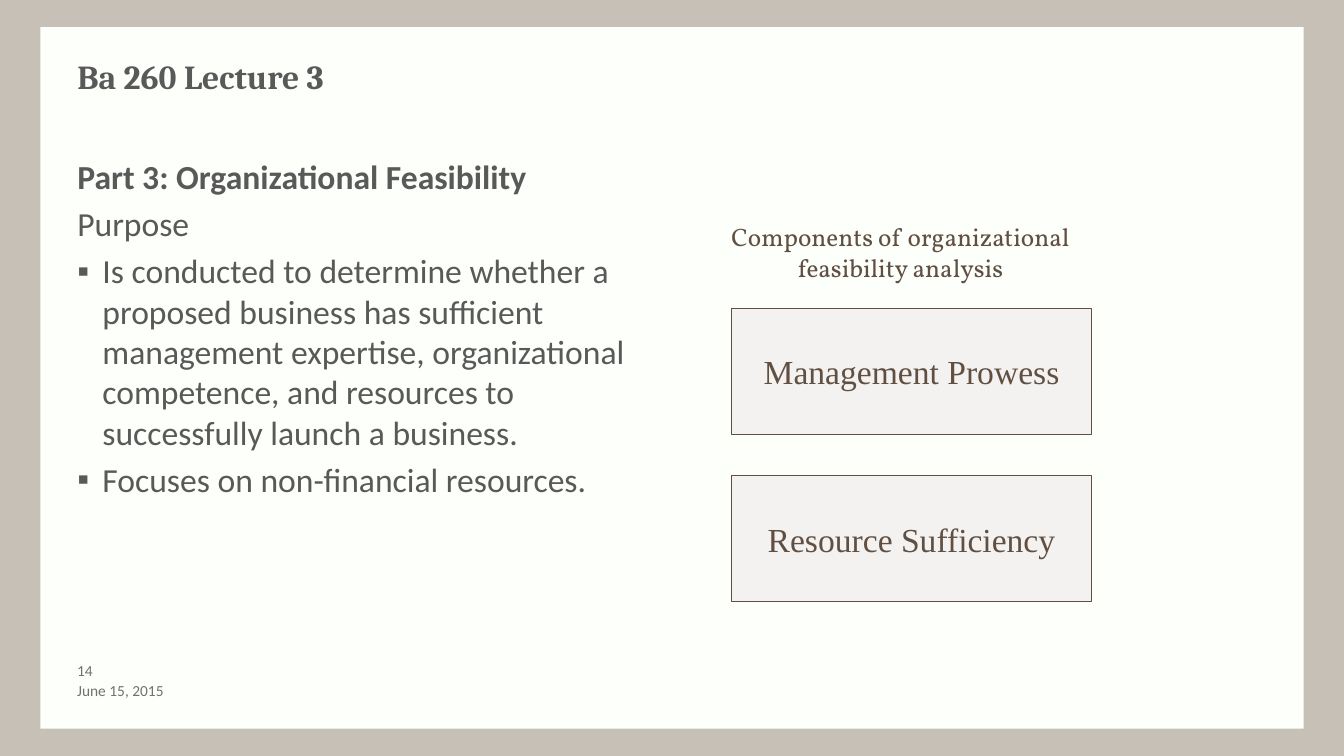
import pptx
import pptx.util
import pptx.dml.color
import pptx.enum.shapes
import pptx.enum.text
import pptx.oxml.ns
import lxml.etree

COLORS = {"frame": "C6C0B7", "paper": "FDFFFB", "text": "595959",
          "footer": "717171", "brown": "615042", "card": "F4F2F1"}
SLIDE_WIDTH, SLIDE_HEIGHT = pptx.util.Inches(13.333), pptx.util.Inches(7.5)
COLUMN, ROW = SLIDE_WIDTH / 20, SLIDE_HEIGHT / 30
ALIGN = pptx.enum.text.PP_ALIGN
ANCHOR = pptx.enum.text.MSO_ANCHOR


def grid(column, row, columns, rows):
    """Turn a box in grid units into left, top, width and height."""
    return (round(column * COLUMN), round(row * ROW),
            round(columns * COLUMN), round(rows * ROW))


def color(name):
    return pptx.dml.color.RGBColor.from_string(COLORS[name])


def place(placeholder, box):
    placeholder.left, placeholder.top, placeholder.width, placeholder.height = grid(*box)


def write(frame, lines, font, size, ink, align=ALIGN.LEFT, anchor=ANCHOR.TOP,
          bold=False, wrap=True):
    frame.text = "\n".join(lines)
    frame.word_wrap = wrap
    frame.auto_size = pptx.enum.text.MSO_AUTO_SIZE.NONE
    frame.vertical_anchor = anchor
    for paragraph in frame.paragraphs:
        paragraph.alignment = align
        for run in paragraph.runs:
            run.font.name = font
            run.font.size = pptx.util.Pt(size)
            run.font.bold = bold
            run.font.color.rgb = color(ink)


def add_rectangle(slide, box, fill):
    rectangle = slide.shapes.add_shape(
        pptx.enum.shapes.MSO_SHAPE.RECTANGLE, *grid(*box))
    rectangle.shadow.inherit = False
    rectangle.fill.solid()
    rectangle.fill.fore_color.rgb = color(fill)
    rectangle.line.fill.background()
    return rectangle


def set_bullet(paragraph, mark):
    properties = paragraph._p.get_or_add_pPr()
    indent = pptx.util.Inches(0.25) if mark else 0
    properties.set("marL", str(indent))
    properties.set("indent", str(-indent))
    tag = pptx.oxml.ns.qn("a:buChar" if mark else "a:buNone")
    bullet = lxml.etree.SubElement(properties, tag)
    if mark:
        bullet.set("char", mark)


def paint_backdrop(slide, box):
    slide.background.fill.solid()
    slide.background.fill.fore_color.rgb = color("frame")
    add_rectangle(slide, box, "paper")


def fill_title(slide, box):
    title = slide.shapes.title
    place(title, box)
    write(title.text_frame, ["Ba 260 Lecture 3"], "Cambria", 24, "text", bold=True)


def fill_purpose(slide, box):
    purpose = slide.placeholders[1]
    place(purpose, box)
    points = [
        ("Part 3: Organizational Feasibility", None),
        ("Purpose", None),
        ("Is conducted to determine whether a proposed business has sufficient "
         "management expertise, organizational competence, and resources to "
         "successfully launch a business.", "▪"),
        ("Focuses on non-financial resources.", "▪"),
    ]
    write(purpose.text_frame, [line for line, _ in points], "Calibri", 24, "text")
    for index, (paragraph, (_, mark)) in enumerate(
            zip(purpose.text_frame.paragraphs, points)):
        paragraph.space_before = pptx.util.Pt(4.8 if index else 0)
        set_bullet(paragraph, mark)
    purpose.text_frame.paragraphs[0].runs[0].font.bold = True


def add_components(slide, box):
    left, top, width, _ = box
    caption = slide.shapes.add_textbox(*grid(left, top, width, 2.84))
    write(caption.text_frame, ["Components of organizational", "feasibility analysis"],
          "Vollkorn", 18, "brown", ALIGN.CENTER)
    for index, component in enumerate(["Management Prowess", "Resource Sufficiency"]):
        card = add_rectangle(
            slide, (left + 2.48, top + 3.64 + index * 6.64, 5.37, 5), "card")
        card.line.color.rgb = color("brown")
        card.line.width = pptx.util.Pt(0.75)
        write(card.text_frame, [component], "Times New Roman", 24, "brown",
              ALIGN.CENTER, ANCHOR.MIDDLE, wrap=False)


def add_footer(slide, box):
    left, top, width, height = box
    for index, entry in enumerate(["14", "June 15, 2015"]):
        footer = slide.shapes.add_textbox(
            *grid(left, top + index * height / 2, width, height / 2))
        footer.text_frame.margin_top = footer.text_frame.margin_bottom = 0
        write(footer.text_frame, [entry], "Calibri", 11, "footer",
              anchor=ANCHOR.MIDDLE)


def main():
    deck = pptx.Presentation()
    deck.slide_width, deck.slide_height = SLIDE_WIDTH, SLIDE_HEIGHT
    slide = deck.slides.add_slide(deck.slide_layouts[1])
    paint_backdrop(slide, (0.6, 1.08, 18.8, 27.84))
    # The paper panel belongs behind the placeholders.
    tree = slide.shapes._spTree
    tree.insert(2, tree[-1])
    fill_title(slide, (1, 2, 18, 3))
    fill_purpose(slide, (1, 6, 8.76, 19))
    add_components(slide, (8.4, 8.6, 10, 15.28))
    add_footer(slide, (1, 26.2, 4, 1.6))
    deck.save("out.pptx")


if __name__ == "__main__":
    main()
